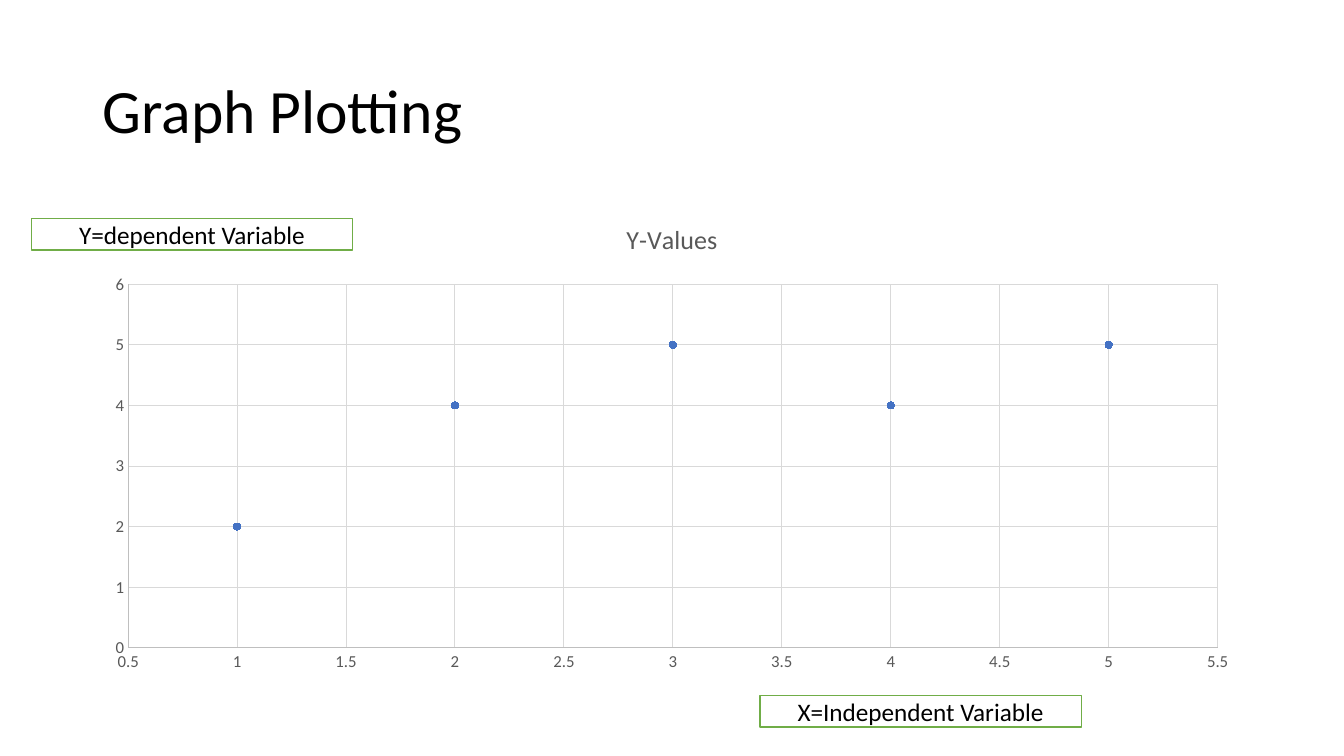
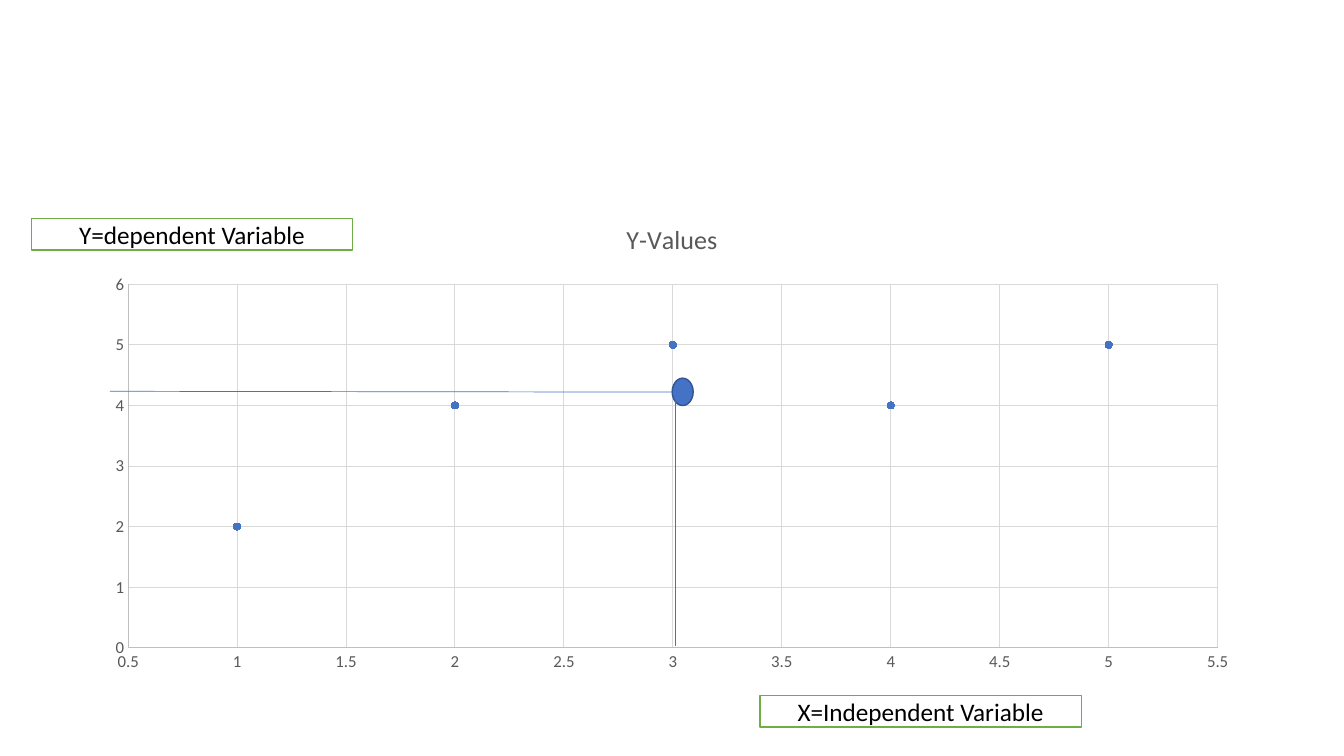
"""Build two slides that explain how a scatter graph is plotted."""
from lxml import etree
from pptx import Presentation
from pptx import util as u
from pptx.chart.data import XyChartData
from pptx.dml.color import RGBColor
from pptx.enum import chart as charts, shapes, text
from pptx.oxml.ns import qn

FONT = "Calibri"
BLACK, WHITE, GRAY = "000000", "FFFFFF", "595959"
AXIS, GRID = "BFBFBF", "D9D9D9"
BLUE, DARK_BLUE, GREEN = "4472C4", "325491", "70AD47"
TITLE_ONLY, BLANK = 5, 6
POINTS = [(1, 2), (2, 4), (3, 5), (4, 4), (5, 5)]


def color(value):
    return RGBColor.from_string(value)


def style_font(font, size, value):
    font.name = FONT
    font.size = u.Pt(size)
    font.color.rgb = color(value)


def style_line(line, value, width):
    line.color.rgb = color(value)
    line.width = u.Pt(width)


def set_title(slide, title):
    shape = slide.shapes.title
    shape.left, shape.top = u.Cm(2.33), u.Cm(1.02)
    shape.width, shape.height = u.Cm(29.21), u.Cm(3.68)
    shape.text_frame.text = title
    shape.text_frame.vertical_anchor = text.MSO_ANCHOR.MIDDLE
    paragraph = shape.text_frame.paragraphs[0]
    paragraph.alignment = text.PP_ALIGN.LEFT
    paragraph.line_spacing = 0.9
    style_font(paragraph.runs[0].font, 44, BLACK)


def style_axis(axis, minimum, maximum, step):
    axis.minimum_scale, axis.maximum_scale = minimum, maximum
    axis.major_unit = step
    axis.major_tick_mark = axis.minor_tick_mark = charts.XL_TICK_MARK.NONE
    axis.has_major_gridlines = True
    style_line(axis.major_gridlines.format.line, GRID, 0.75)
    style_line(axis.format.line, AXIS, 0.75)
    style_font(axis.tick_labels.font, 12, GRAY)


def add_scatter(slide):
    data = XyChartData()
    values = data.add_series("Y-Values")
    for x, y in POINTS:
        values.add_data_point(x, y)
    chart = slide.shapes.add_chart(
        charts.XL_CHART_TYPE.XY_SCATTER, u.Cm(2.33), u.Cm(5.08),
        u.Cm(29.21), u.Cm(12.09), data).chart
    style_font(chart.font, 10, BLACK)
    chart.has_legend = False
    chart.has_title = True
    chart.chart_title.text_frame.text = "Y-Values"
    title_run = chart.chart_title.text_frame.paragraphs[0].runs[0]
    title_run.font.bold = False
    style_font(title_run.font, 18.6, GRAY)
    style_axis(chart.category_axis, 0.5, 5.5, 0.5)
    style_axis(chart.value_axis, 0, 6, 1)
    plot = chart.plots[0]
    plot.vary_by_categories = False
    series = plot.series[0]
    series.smooth = False
    marker = series.marker
    marker.style, marker.size = charts.XL_MARKER_STYLE.CIRCLE, 5
    marker.format.fill.solid()
    marker.format.fill.fore_color.rgb = color(BLUE)
    style_line(marker.format.line, BLUE, 0.75)


def add_shape(slide, kind, left, top, width, height, fill, outline):
    shape = slide.shapes.add_shape(
        kind, u.Cm(left), u.Cm(top), u.Cm(width), u.Cm(height))
    shape.shadow.inherit = False
    shape.fill.solid()
    shape.fill.fore_color.rgb = color(fill)
    style_line(shape.line, outline, 1)
    return shape


def add_label(slide, left, top, label):
    shape = add_shape(slide, shapes.MSO_SHAPE.RECTANGLE,
                      left, top, 8.1, 0.79, WHITE, GREEN)
    shape.text_frame.text = label
    shape.text_frame.vertical_anchor = text.MSO_ANCHOR.MIDDLE
    paragraph = shape.text_frame.paragraphs[0]
    paragraph.alignment = text.PP_ALIGN.CENTER
    style_font(paragraph.runs[0].font, 18, BLACK)


def add_line(slide, *ends):
    line = slide.shapes.add_connector(
        shapes.MSO_CONNECTOR.STRAIGHT, *[u.Cm(end) for end in ends])
    style_line(line.line, BLUE, 0.5)
    etree.SubElement(line._element.spPr, qn("a:effectLst"))


def add_graph_slide(presentation, layout):
    slide = presentation.slides.add_slide(presentation.slide_layouts[layout])
    add_scatter(slide)
    add_label(slide, 19.15, 17.53, "X=Independent Variable")
    add_label(slide, 0.79, 5.51, "Y=dependent Variable")
    return slide


def add_mean_point(slide):
    add_shape(slide, shapes.MSO_SHAPE.FLOWCHART_CONNECTOR,
              16.94, 9.53, 0.53, 0.69, BLUE, DARK_BLUE)
    add_line(slide, 16.94, 9.88, 2.77, 9.86)
    add_line(slide, 17.02, 10.11, 17.02, 16.28)


def main():
    presentation = Presentation()
    presentation.slide_width = u.Cm(33.87)
    presentation.slide_height = u.Cm(19.05)
    set_title(add_graph_slide(presentation, TITLE_ONLY), "Graph Plotting")
    add_mean_point(add_graph_slide(presentation, BLANK))
    presentation.save("out.pptx")


main()
